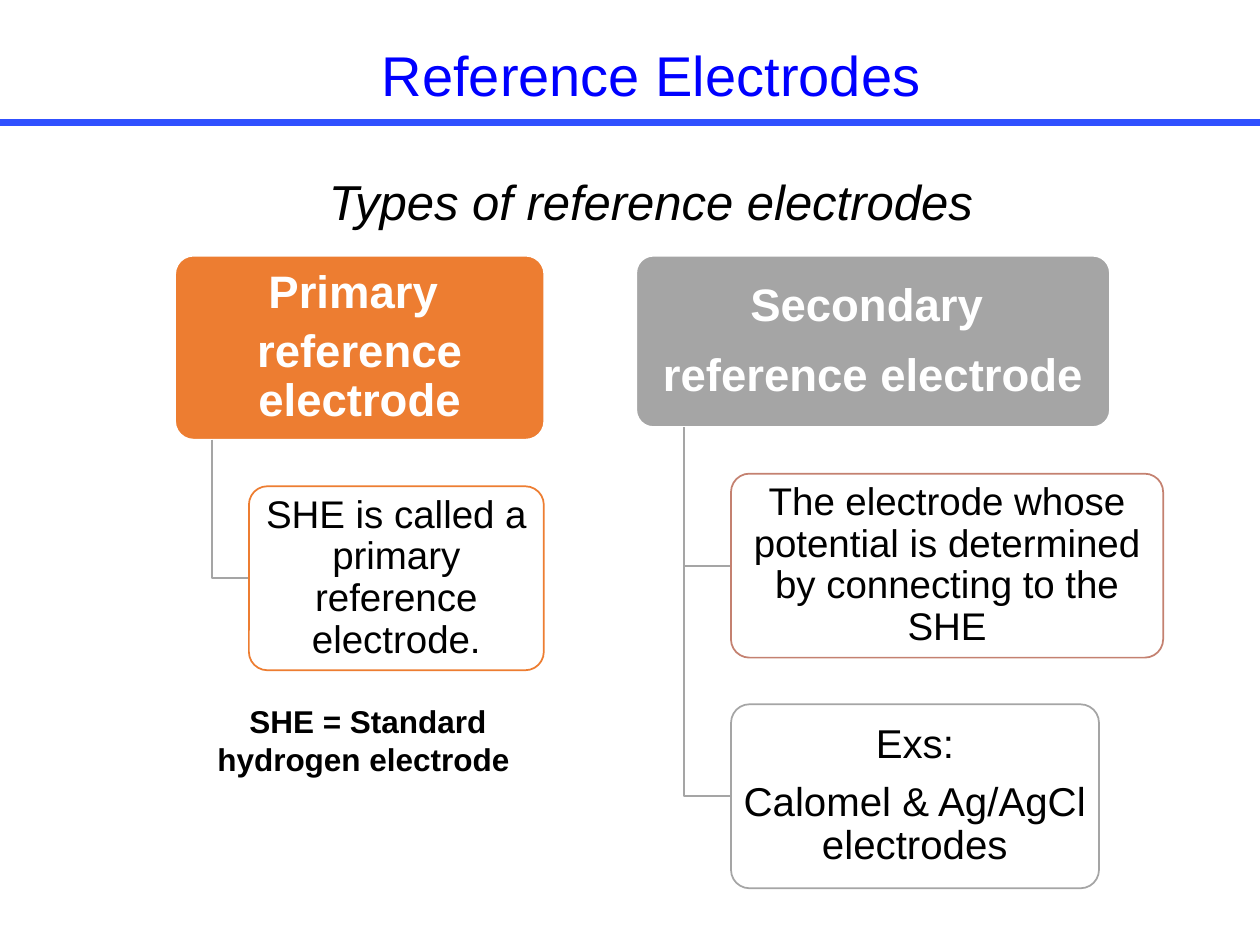
from pptx import Presentation
from pptx.dml.color import RGBColor
from pptx.enum.shapes import MSO_CONNECTOR, MSO_SHAPE
from pptx.enum.text import MSO_ANCHOR, PP_ALIGN
from pptx.oxml.ns import qn
from pptx.util import Inches, Pt
from lxml.etree import SubElement

BLACK = RGBColor(0x00, 0x00, 0x00)
WHITE = RGBColor(0xFF, 0xFF, 0xFF)
BLUE = RGBColor(0x00, 0x00, 0xFF)
RULE_BLUE = RGBColor(0x30, 0x50, 0xFF)
ORANGE = RGBColor(0xED, 0x7D, 0x31)
GRAY = RGBColor(0xA5, 0xA5, 0xA5)
ROSE = RGBColor(0xC4, 0x81, 0x70)

TITLE = "Reference Electrodes"
SUBTITLE = "Types of reference electrodes"
FOOTNOTE = "SHE = Standard hydrogen electrode "
BRANCHES = [
    {
        "heading": ["Primary ", "reference electrode"],
        "left": 1.39, "width": 2.93, "height": 1.46, "color": ORANGE, "after": 6,
        "children": [
            (["SHE is called a primary reference electrode."], 2.34, 22, ORANGE),
        ],
    },
    {
        "heading": ["Secondary ", "reference electrode"],
        "left": 5.05, "width": 3.76, "height": 1.36, "color": GRAY, "after": 12,
        "children": [
            (["The electrode whose potential is determined by connecting to the SHE"],
             3.43, 22, ROSE),
            (["Exs:", "Calomel & Ag/AgCl electrodes"], 2.92, 23, GRAY),
        ],
    },
]
BRANCH_TOP = 2.03
CHILD_HEIGHT = 1.46
GAP = 0.37
CHILD_INDENT = 0.2
STEM_INDENT = 0.1


def write(frame, lines, size, color, bold=False, italic=False, spacing=None, after=None):
    frame.word_wrap = True
    for index, line in enumerate(lines):
        para = frame.paragraphs[0] if index == 0 else frame.add_paragraph()
        para.alignment = PP_ALIGN.CENTER
        if spacing:
            para.line_spacing = spacing
            para.space_after = Pt(after)
        span = para.add_run()
        span.text = line
        span.font.name = "Arial"
        span.font.size = Pt(size)
        span.font.bold = bold
        span.font.italic = italic
        span.font.color.rgb = color


def add_text(page, left, top, width, height, text, size, **style):
    box = page.shapes.add_textbox(Inches(left), Inches(top), Inches(width), Inches(height))
    write(box.text_frame, [text], size, BLACK, **style)


def add_card(page, left, top, width, height, fill, line, lines, size, color, inset, **style):
    card = page.shapes.add_shape(MSO_SHAPE.ROUNDED_RECTANGLE, Inches(left), Inches(top),
                                 Inches(width), Inches(height))
    card.adjustments[0] = 0.1
    card.shadow.inherit = False
    card.fill.solid()
    card.fill.fore_color.rgb = fill
    card.line.color.rgb = line
    card.line.width = Pt(1)
    frame = card.text_frame
    frame.margin_left = frame.margin_right = Inches(0.05)
    frame.margin_top = frame.margin_bottom = Inches(inset)
    frame.vertical_anchor = MSO_ANCHOR.MIDDLE
    write(frame, lines, size, color, spacing=0.9, **style)


def add_elbow(page, stem, top, middle, right):
    builder = page.shapes.build_freeform(Inches(stem), Inches(top))
    builder.add_line_segments([(Inches(stem), Inches(middle)),
                               (Inches(right), Inches(middle))], close=False)
    elbow = builder.convert_to_shape()
    elbow.shadow.inherit = False
    elbow.fill.background()
    elbow.line.color.rgb = GRAY
    elbow.line.width = Pt(1)


def add_branch(page, branch):
    left, width, height = branch["left"], branch["width"], branch["height"]
    add_card(page, left, BRANCH_TOP, width, height, branch["color"], WHITE,
             branch["heading"], 26, WHITE, 0.04, bold=True, after=branch["after"])
    bottom = BRANCH_TOP + height
    stem = left + STEM_INDENT * width
    child_left = left + CHILD_INDENT * width
    for index, (lines, child_width, size, color) in enumerate(branch["children"]):
        top = bottom + GAP + index * (CHILD_HEIGHT + GAP)
        add_elbow(page, stem, bottom, top + CHILD_HEIGHT / 2, child_left)
        add_card(page, child_left, top, child_width, CHILD_HEIGHT, WHITE, color,
                 lines, size, BLACK, 0.03, after=8)


def main():
    deck = Presentation()
    deck.slide_width, deck.slide_height = Inches(10), Inches(7.5)
    page = deck.slides.add_slide(deck.slide_layouts[5])

    title = page.shapes.title
    title.left, title.top = Inches(2.03), Inches(0.27)
    title.width, title.height = Inches(6.28), Inches(0.64)
    title.text_frame.vertical_anchor = MSO_ANCHOR.TOP
    write(title.text_frame, [TITLE], 32, BLUE)

    rule = page.shapes.add_connector(MSO_CONNECTOR.STRAIGHT, Inches(10), Inches(0.97),
                                     Inches(0), Inches(0.97))
    rule.line.color.rgb = RULE_BLUE
    rule.line.width = Pt(4)
    SubElement(rule.element.spPr, qn("a:effectLst"))

    add_text(page, 2.4, 1.31, 5.53, 0.57, SUBTITLE, 28, italic=True)
    for branch in BRANCHES:
        add_branch(page, branch)
    add_text(page, 1.39, 5.52, 3.06, 0.71, FOOTNOTE, 18, bold=True)

    deck.save("out.pptx")


if __name__ == "__main__":
    main()
